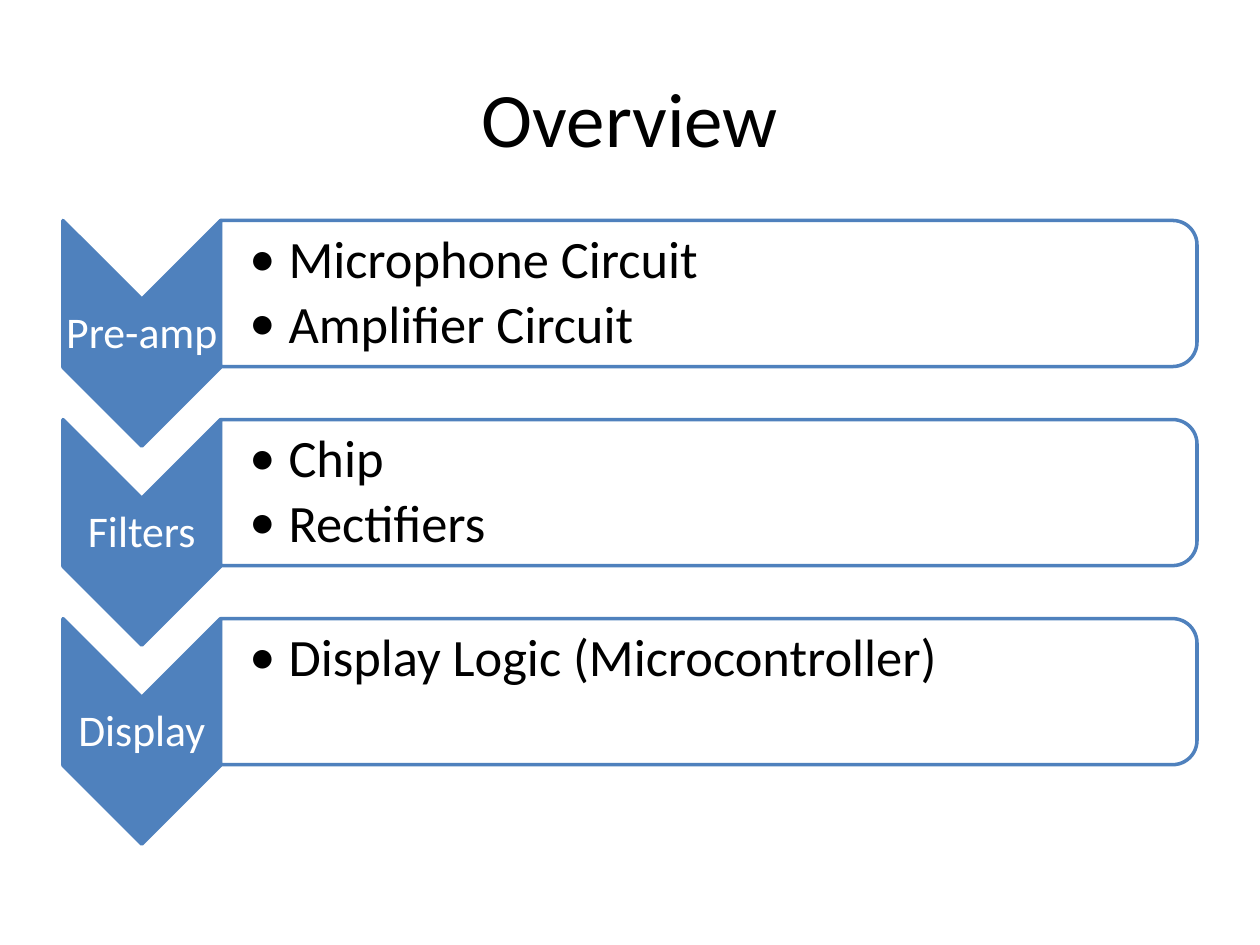
import dataclasses

import pptx
import pptx.dml.color
import pptx.enum.shapes
import pptx.enum.text
import pptx.oxml
import pptx.oxml.ns
import pptx.util
from pptx.util import Inches

FONT = "Calibri"
BLUE, WHITE, BLACK = "4F81BD", "FFFFFF", "000000"
LEFT, TOP, PITCH = 0.5, 1.75, 1.58
CHEVRON_W, CHEVRON_H = 1.25, 1.79
BAR_W, BAR_H = 7.75, 1.16
SHAPE = pptx.enum.shapes.MSO_SHAPE
ALIGN = pptx.enum.text.PP_ALIGN
ANCHOR = pptx.enum.text.MSO_ANCHOR


@dataclasses.dataclass
class Stage:
    """One step of the process and its details."""
    name: str
    details: list[str]


STAGES = [
    Stage("Pre-amp", ["Microphone Circuit", "Amplifier Circuit"]),
    Stage("Filters", ["Chip", "Rectifiers"]),
    Stage("Display", ["Display Logic (Microcontroller)"]),
]


def rgb(color: str) -> pptx.dml.color.RGBColor:
    """Turn a hex string into a colour."""
    return pptx.dml.color.RGBColor.from_string(color)


def add_run(p, text: str, size: float, color: str) -> None:
    """Add one formatted run to a paragraph."""
    r = p.add_run()
    r.text = text
    r.font.name = FONT
    r.font.size = pptx.util.Pt(size)
    r.font.color.rgb = rgb(color)


def add_turned(s, kind, x: float, y: float, w: float, h: float,
               fill: str, alpha: int = 100) -> None:
    """Draw a shape turned by 90 degrees that covers the given area."""
    sp = s.shapes.add_shape(kind, Inches(x + (w - h) / 2),
                            Inches(y + (h - w) / 2), Inches(h), Inches(w))
    sp.rotation = 90
    sp.shadow.inherit = False
    sp.fill.solid()
    sp.fill.fore_color.rgb = rgb(fill)
    if alpha < 100:
        clr = sp.fill._xPr.find(".//" + pptx.oxml.ns.qn("a:srgbClr"))
        clr.append(pptx.oxml.parse_xml(
            f'<a:alpha {pptx.oxml.ns.nsdecls("a")} val="{alpha * 1000}"/>'))
    sp.line.color.rgb = rgb(BLUE)
    sp.line.width = pptx.util.Pt(2)


def add_box(s, x: float, y: float, w: float, h: float, anchor,
            inset_left: float = 0.02, inset_top: float = 0.02):
    """Add a wrapping text box and return its text frame."""
    tf = s.shapes.add_textbox(Inches(x), Inches(y), Inches(w), Inches(h)).text_frame
    tf.word_wrap = True
    tf.vertical_anchor = anchor
    tf.margin_left, tf.margin_top = Inches(inset_left), Inches(inset_top)
    tf.margin_right = tf.margin_bottom = Inches(0.02)
    return tf


def add_bullet(p) -> None:
    """Give a paragraph a hanging bullet."""
    pPr = p._p.get_or_add_pPr()
    pPr.set("marL", str(Inches(0.31)))
    pPr.set("indent", str(-Inches(0.31)))
    for tag in (f'buFont {pptx.oxml.ns.nsdecls("a")} typeface="{FONT}"',
                f'buChar {pptx.oxml.ns.nsdecls("a")} char="•"'):
        pPr.append(pptx.oxml.parse_xml(f"<a:{tag}/>"))


def add_stage(s, stage: Stage, y: float) -> None:
    """Draw the chevron, the bar and the text of one stage."""
    bar_x = LEFT + CHEVRON_W
    add_turned(s, SHAPE.CHEVRON, LEFT, y, CHEVRON_W, CHEVRON_H, BLUE)
    p = add_box(s, LEFT, y + 0.63, CHEVRON_W, 0.54, ANCHOR.MIDDLE).paragraphs[0]
    p.alignment = ALIGN.CENTER
    p.line_spacing = 0.9
    add_run(p, stage.name, 25, WHITE)

    add_turned(s, SHAPE.ROUND_2_SAME_RECTANGLE, bar_x, y, BAR_W, BAR_H, WHITE, 90)
    tf = add_box(s, bar_x, y + 0.06, 7.69, 1.05, ANCHOR.TOP, 0.23, 0.04)
    for i, detail in enumerate(stage.details):
        p = tf.add_paragraph() if i else tf.paragraphs[0]
        p.line_spacing = 0.9
        p.space_after = pptx.util.Pt(4.5)
        add_bullet(p)
        add_run(p, detail, 30, BLACK)


def add_title(s, text: str) -> None:
    """Place and fill the title placeholder."""
    sp = s.shapes.title
    sp.left, sp.top, sp.width, sp.height = map(Inches, (0.5, 0.3, 9, 1.25))
    sp.text_frame.vertical_anchor = ANCHOR.MIDDLE
    p = sp.text_frame.paragraphs[0]
    p.alignment = ALIGN.CENTER
    add_run(p, text, 44, BLACK)


def main() -> None:
    """Build the slide and save it."""
    prs = pptx.Presentation()
    prs.slide_width, prs.slide_height = Inches(10), Inches(7.5)
    s = prs.slides.add_slide(prs.slide_layouts[5])
    add_title(s, "Overview")
    for i, stage in enumerate(STAGES):
        add_stage(s, stage, TOP + i * PITCH)
    prs.save("out.pptx")


main()
